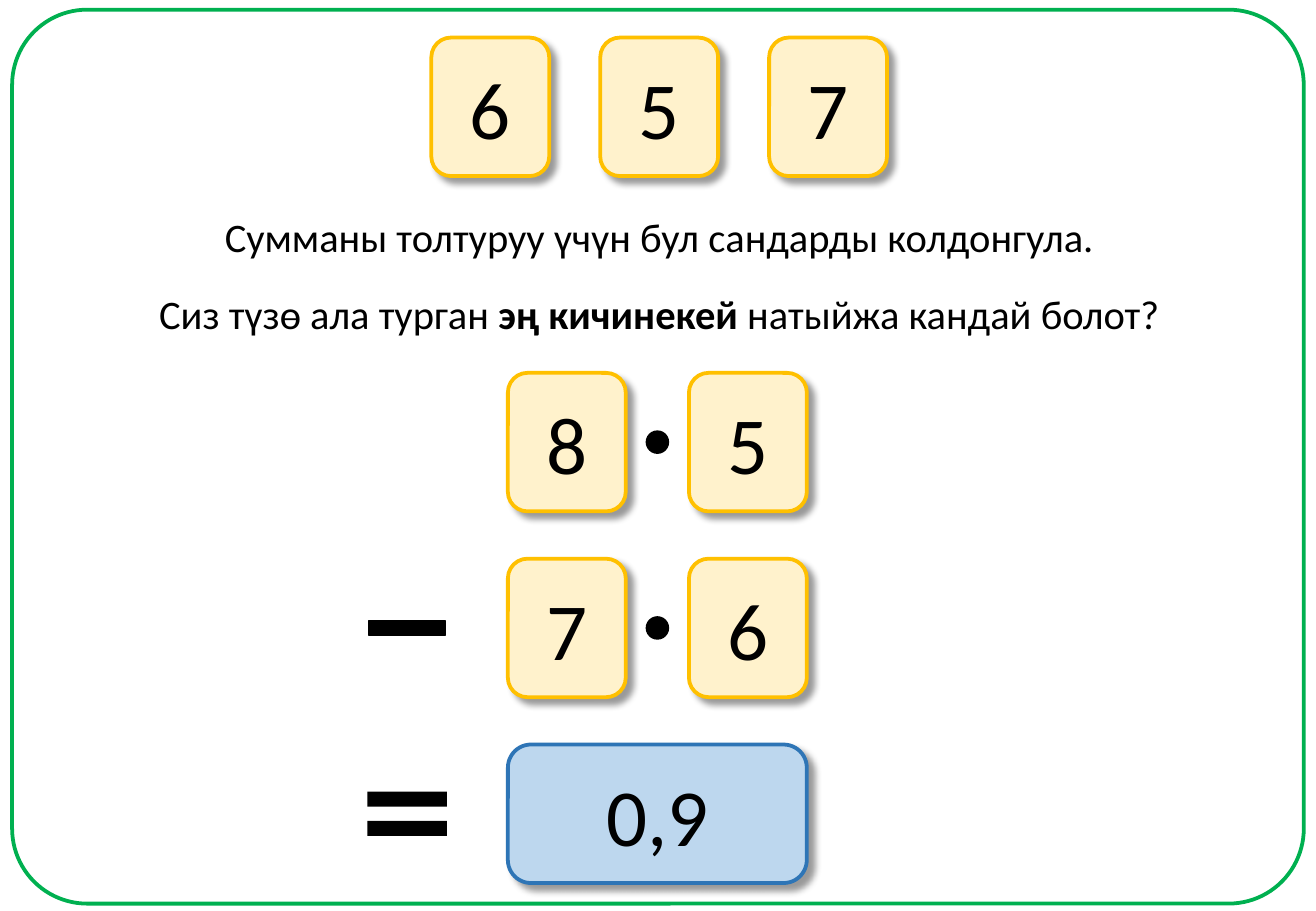
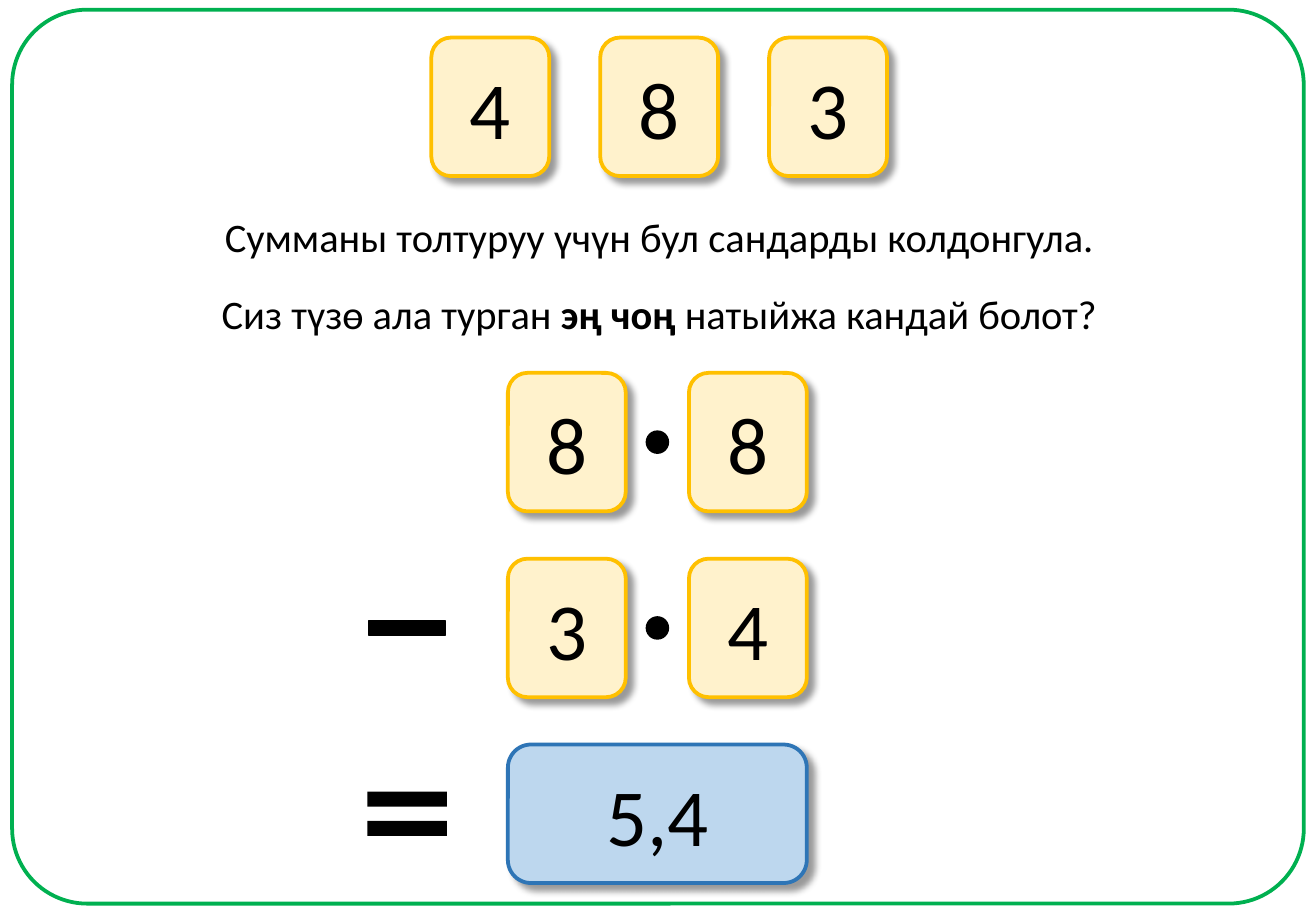
from lxml.etree import SubElement
from pptx import Presentation
from pptx.dml.color import RGBColor
from pptx.enum.shapes import MSO_SHAPE as SHAPE
from pptx.enum.text import MSO_ANCHOR as ANCHOR, MSO_AUTO_SIZE as AUTO, PP_ALIGN as ALIGN
from pptx.oxml.ns import qn
from pptx.util import Inches, Pt

SLIDE_W, SLIDE_H = 10.83, 7.5
CARD_W, CARD_H = 0.97, 1.14
COL_X, COL_STEP = 4.18, 1.49
ROW_Y, ROW_STEP = 3.07, 1.53
DRAW_X, DRAW_Y, DRAW_STEP = 3.55, 0.31, 1.39
SIGN_X, DOT_X = 3.35, COL_X + (COL_STEP + CARD_W) / 2
BLACK, GREEN = "000000", "00B050"
YELLOW = {"fill": "FFF2CC", "line": "FFC000"}
BLUE = {"fill": "BDD7EE", "line": "2E75B6"}
FONT = {"name": "Calibri", "size": Pt(24), "bold": False}
DIGIT = {**FONT, "size": Pt(48)}
INTRO = "Сумманы толтуруу үчүн бул сандарды колдонгула."
QUESTION = ("Сиз түзө ала турган ", "натыйжа кандай болот?")

TASKS = [
    {"draw": "657", "bold": "эң кичинекей ", "width": 8.46,
     "rows": ["85", "76"], "result": "0,9"},
    {"draw": "483", "bold": "эң чоң ", "width": 7.45,
     "rows": ["88", "34"], "result": "5,4"},
]


def rgb(value):
    """Turn a hex string into a colour."""
    return RGBColor.from_string(value)


def add_run(p, text, style):
    """Append a black run with the given font values."""
    r = p.add_run()
    r.text = text
    r.font.color.rgb = rgb(BLACK)
    for name, value in style.items():
        setattr(r.font, name, value)


def add_box(s, kind, box, fill=None, line=None, weight=2.25, adj=()):
    """Draw a preset shape without a shadow."""
    sp = s.shapes.add_shape(kind, *map(Inches, box))
    for i, value in enumerate(adj):
        sp.adjustments[i] = value
    if fill:
        sp.fill.solid()
        sp.fill.fore_color.rgb = rgb(fill)
    else:
        sp.fill.background()
    if line:
        sp.line.color.rgb = rgb(line)
        sp.line.width = Pt(weight)
    else:
        sp.line.fill.background()
    sp.shadow.inherit = False
    return sp


def add_shadow(sp):
    """Give a shape a soft shadow to the lower right."""
    effects = sp._element.spPr.find(qn("a:effectLst"))
    shadow = SubElement(effects, qn("a:outerShdw"), blurRad=str(Pt(4)), dist=str(Pt(5)),
                        dir=str(45 * 60000), algn="tl", rotWithShape="0")
    color = SubElement(shadow, qn("a:srgbClr"), val=BLACK)
    SubElement(color, qn("a:alpha"), val="40000")


def add_card(s, x, y, text, palette=YELLOW, width=CARD_W):
    """Draw a rounded card with a large number."""
    sp = add_box(s, SHAPE.ROUNDED_RECTANGLE, (x, y, width, CARD_H), **palette)
    add_shadow(sp)
    tf = sp.text_frame
    tf.vertical_anchor = ANCHOR.MIDDLE
    p = tf.paragraphs[0]
    p.alignment = ALIGN.CENTER
    add_run(p, text, DIGIT)


def add_sign(s, kind, x, row, width, height, line=BLACK, adj=()):
    """Draw a black sign centred on x and on a row of cards."""
    y = row_top(row) + CARD_H / 2
    add_box(s, kind, (x - width / 2, y - height / 2, width, height),
            BLACK, line, 1, adj)


def add_sentence(s, y, width, *parts):
    """Write a centred sentence from (text, bold) parts."""
    box = (SLIDE_W - width) / 2 + 0.01, y, width, 0.5
    tf = s.shapes.add_textbox(*map(Inches, box)).text_frame
    tf.word_wrap = False
    tf.auto_size = AUTO.SHAPE_TO_FIT_TEXT
    p = tf.paragraphs[0]
    p.alignment = ALIGN.CENTER
    for text, bold in parts:
        add_run(p, text, {**FONT, "bold": bold})


def row_top(row):
    """Return the top of a row of the calculation."""
    return ROW_Y + row * ROW_STEP


def add_task(prs, task):
    """Build one slide: drawn numbers, question and calculation."""
    s = prs.slides.add_slide(prs.slide_layouts[6])
    add_box(s, SHAPE.ROUNDED_RECTANGLE, (0.1, 0.08, 10.63, 7.36), line=GREEN, adj=[0.084])
    add_sentence(s, 1.7, 7.42, (INTRO, False))
    add_sentence(s, 2.33, task["width"], (QUESTION[0], False),
                 (task["bold"], True), (QUESTION[1], False))
    for i, digit in enumerate(task["draw"]):
        add_card(s, DRAW_X + i * DRAW_STEP, DRAW_Y, digit)
    for row, digits in enumerate(task["rows"]):
        for col, digit in enumerate(digits):
            add_card(s, COL_X + col * COL_STEP, row_top(row), digit)
        add_sign(s, SHAPE.OVAL, DOT_X, row, 0.18, 0.18)
    add_card(s, COL_X, row_top(2), task["result"], BLUE, COL_STEP + CARD_W)
    add_sign(s, SHAPE.MATH_MINUS, SIGN_X, 1, 0.86, 0.86, adj=[0.132])
    add_sign(s, SHAPE.MATH_EQUAL, SIGN_X, 2, 0.89, 1, None, [0.123, 0.118])


def main():
    """Build and save the presentation."""
    prs = Presentation()
    prs.slide_width, prs.slide_height = Inches(SLIDE_W), Inches(SLIDE_H)
    for task in TASKS:
        add_task(prs, task)
    prs.save("out.pptx")


if __name__ == "__main__":
    main()
